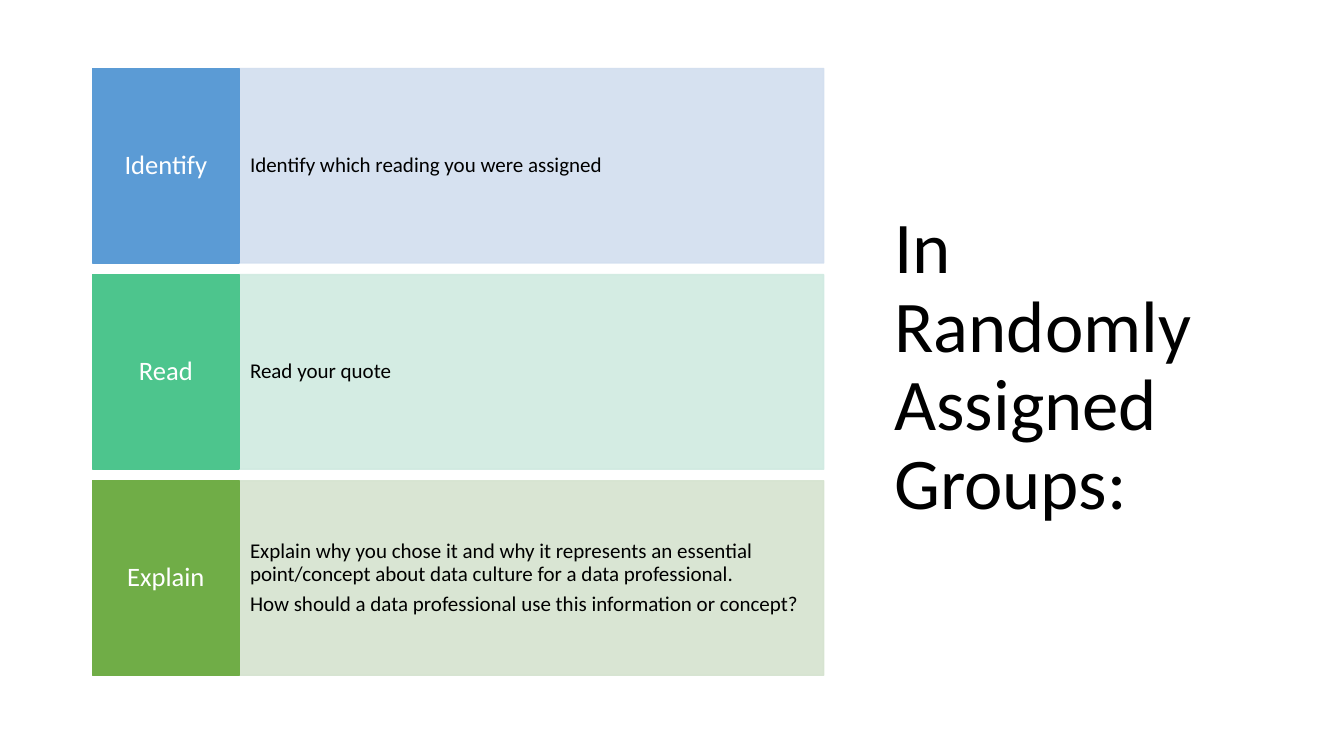
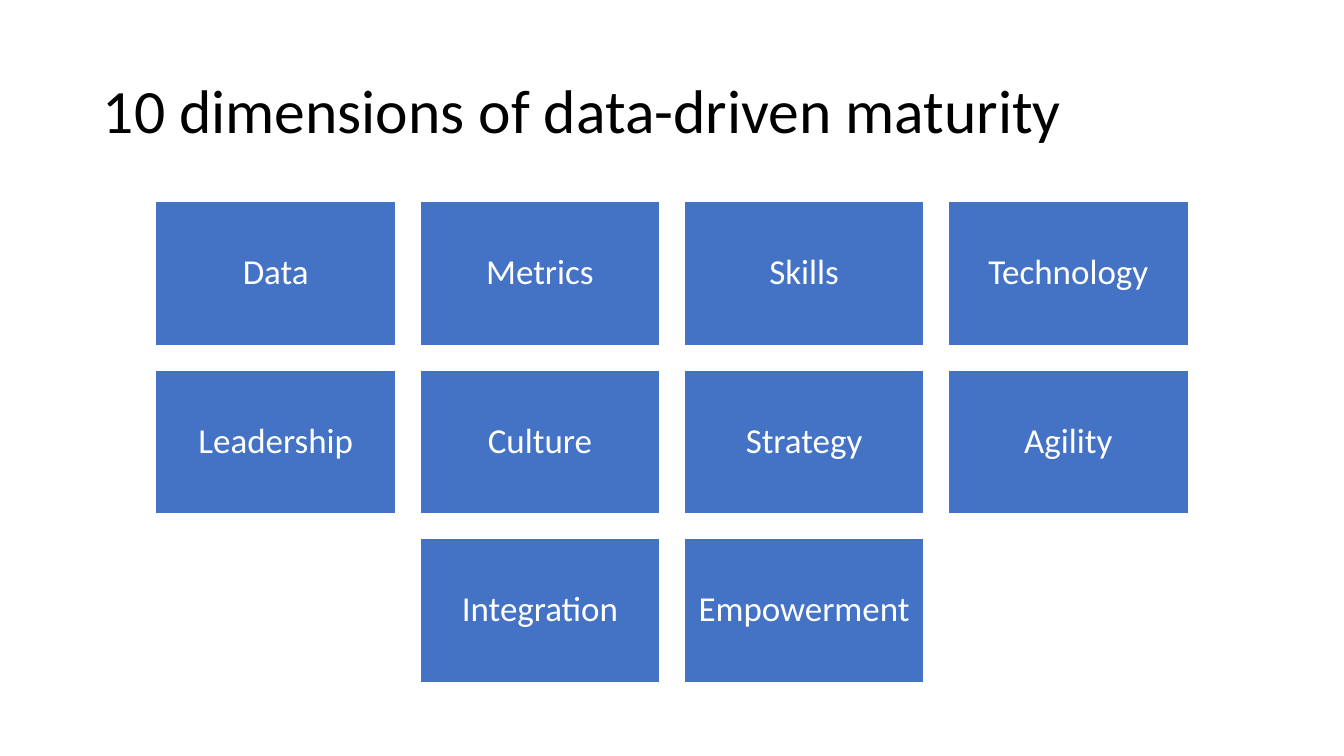
import pptx
import pptx.dml.color
import pptx.enum.shapes
import pptx.enum.text
import pptx.oxml.ns
import pptx.util
from lxml import etree

Inches = pptx.util.Inches
ALIGN = pptx.enum.text.PP_ALIGN

# Content
GROUPS_TITLE = "In Randomly Assigned Groups:"
STEPS = [
    ("Identify", "5B9BD5", "D2DEEF", ["Identify which reading you were assigned"]),
    ("Read", "4DC58D", "D0EAE1", ["Read your quote"]),
    ("Explain", "70AD47", "D5E3CF", [
        "Explain why you chose it and why it represents an essential "
        "point/concept about data culture for a data professional.",
        "How should a data professional use this information or concept?",
    ]),
]
DIMENSIONS_TITLE = "10 dimensions of data-driven maturity"
DIMENSION_ROWS = [
    ["Data", "Metrics", "Skills", "Technology"],
    ["Leadership", "Culture", "Strategy", "Agility"],
    ["Integration", "Empowerment"],
]

# Shared style
FONT = "Calibri"
BLACK, WHITE, BLUE = "000000", "FFFFFF", "4472C4"
SLIDE_WIDTH, SLIDE_HEIGHT = 13.33, 7.5


def color(value):
    return pptx.dml.color.RGBColor.from_string(value)


def write_text(shape, paragraphs, *, size, text_color=WHITE, align=ALIGN.CENTER,
               margin=0.1):
    frame = shape.text_frame
    frame.word_wrap = True
    frame.auto_size = pptx.enum.text.MSO_AUTO_SIZE.NONE
    frame.vertical_anchor = pptx.enum.text.MSO_ANCHOR.MIDDLE
    frame.margin_left = frame.margin_right = Inches(margin)
    frame.margin_top = frame.margin_bottom = Inches(0.05)
    for index, text in enumerate(paragraphs):
        paragraph = frame.add_paragraph() if index else frame.paragraphs[0]
        paragraph.alignment = align
        paragraph.line_spacing = 0.9
        paragraph.space_before = pptx.util.Pt(0.35 * size if index else 0)
        run = paragraph.add_run()
        run.text = text
        run.font.name = FONT
        run.font.size = pptx.util.Pt(size)
        run.font.color.rgb = color(text_color)


def add_title_slide(presentation, title, box, size):
    slide = presentation.slides.add_slide(presentation.slide_layouts[5])
    shape = slide.shapes.title
    shape.left, shape.top, shape.width, shape.height = map(Inches, box)
    write_text(shape, [title], size=size, text_color=BLACK, align=ALIGN.LEFT)
    return slide


def add_box(slide, box, fill, line, opacity=100):
    shape = slide.shapes.add_shape(
        pptx.enum.shapes.MSO_SHAPE.RECTANGLE, *map(Inches, box))
    shape.shadow.inherit = False
    shape.fill.solid()
    shape.fill.fore_color.rgb = color(fill)
    shape.line.color.rgb = color(line)
    shape.line.width = pptx.util.Pt(1)
    if opacity < 100:
        qn = pptx.oxml.ns.qn
        for color_element in list(shape.element.spPr.iter(qn("a:srgbClr"))):
            alpha = etree.SubElement(color_element, qn("a:alpha"))
            alpha.set("val", str(opacity * 1000))
    return shape


def build_groups_slide(presentation):
    slide = add_title_slide(presentation, GROUPS_TITLE, (8.77, 0.6, 3.65, 6.1), 52)
    left, top, label_width, detail_width = 0.92, 0.68, 1.45, 5.8
    height, gap = 1.93, 0.115
    for row, (label, strong, pale, details) in enumerate(STEPS):
        y = top + row * (height + gap)
        detail_box = add_box(slide, (left + label_width, y, detail_width, height),
                             pale, pale, opacity=90)
        write_text(detail_box, details, size=15, text_color=BLACK,
                   align=ALIGN.LEFT, margin=0.11)
        label_box = add_box(slide, (left, y, label_width, height), strong, strong)
        write_text(label_box, [label], size=19, margin=0.08)


def build_dimensions_slide(presentation):
    slide = add_title_slide(presentation, DIMENSIONS_TITLE,
                            (0.92, 0.4, 11.5, 1.45), 44)
    top, width, height, gap = 2, 2.38, 1.43, 0.24
    for row, names in enumerate(DIMENSION_ROWS):
        # Each row is centred on the slide
        row_width = len(names) * (width + gap) - gap
        left = (SLIDE_WIDTH - row_width) / 2
        for column, name in enumerate(names):
            box = (left + column * (width + gap), top + row * (height + gap),
                   width, height)
            write_text(add_box(slide, box, BLUE, WHITE), [name], size=25)


def main():
    presentation = pptx.Presentation()
    presentation.slide_width = Inches(SLIDE_WIDTH)
    presentation.slide_height = Inches(SLIDE_HEIGHT)
    build_groups_slide(presentation)
    build_dimensions_slide(presentation)
    presentation.save("out.pptx")


if __name__ == "__main__":
    main()
